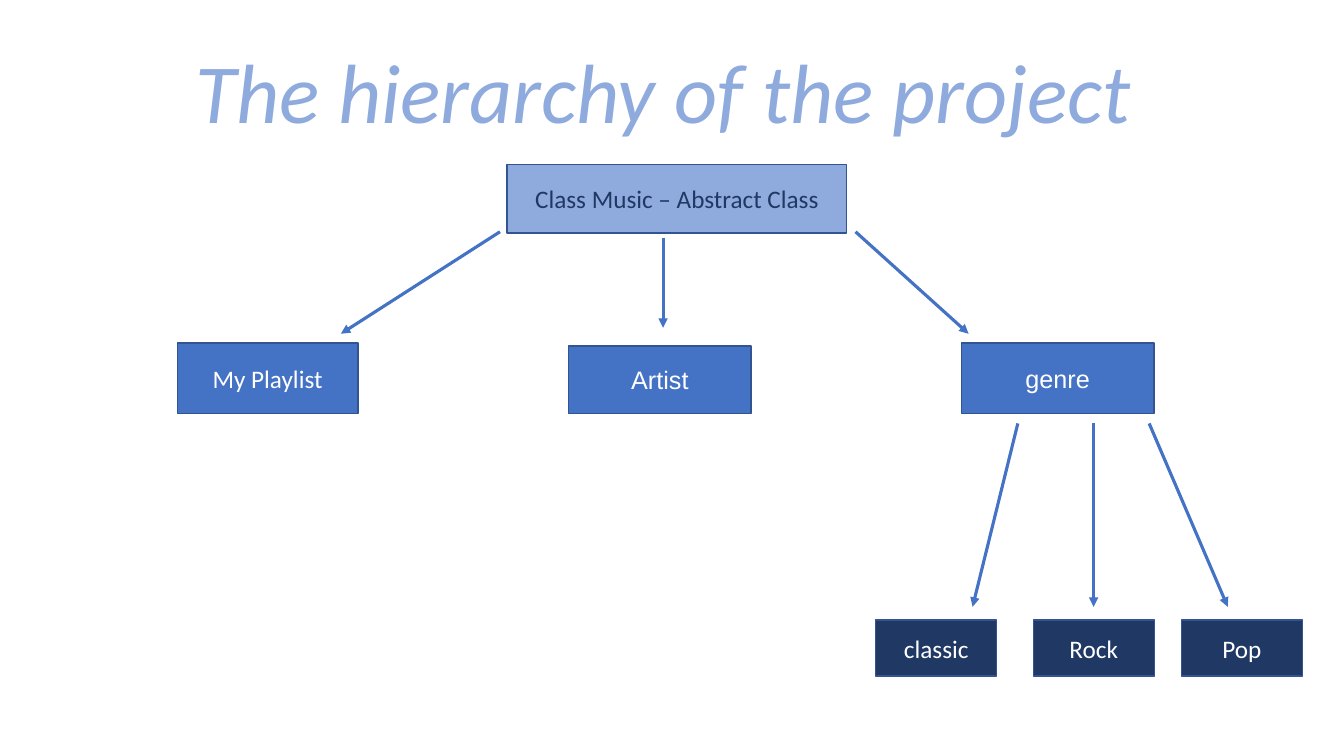
from dataclasses import dataclass

from lxml import etree
from pptx import Presentation
from pptx.dml.color import RGBColor
from pptx.enum import shapes, text
from pptx.oxml.ns import qn
from pptx.util import Cm, Pt


@dataclass(frozen=True)
class Theme:
    light: str = "8FAADC"
    mid: str = "4472C4"
    dark: str = "203864"
    border: str = "325491"
    white: str = "FFFFFF"
    font: str = "Calibri"
    alt_font: str = "Arial"
    title_size: int = 60
    label_size: int = 18
    border_width: float = 1
    arrow_width: float = 2.25


THEME = Theme()

# All lengths are in centimetres.
SLIDE_SIZE = (33.87, 19.05)
TITLE = ("The hierarchy of the project", (1.73, 0.86, 27.03, 2.82))

# Each level: fill, text colour, bottom edge, classes (label, font, left, width, height)
LEVELS = [
    (THEME.light, THEME.dark, 5.87, [
        ("Class Music – Abstract Class", THEME.font, 12.78, 8.56, 1.73),
    ]),
    (THEME.mid, THEME.white, 10.42, [
        ("My Playlist", THEME.font, 4.47, 4.55, 1.78),
        ("Artist", THEME.alt_font, 14.33, 4.6, 1.7),
        ("genre", THEME.alt_font, 24.23, 4.85, 1.78),
    ]),
    (THEME.dark, THEME.white, 17.04, [
        ("classic", THEME.font, 22.07, 3.05, 1.42),
        ("Rock", THEME.font, 26.04, 3.05, 1.42),
        ("Pop", THEME.font, 29.77, 3.05, 1.42),
    ]),
]

# Inheritance arrows: start x, start y, end x, end y
MUSIC_ARROWS = [
    (12.6, 5.84, 8.59, 8.41),
    (16.71, 5.99, 16.71, 8.26),
    (21.56, 5.84, 24.41, 8.41),
]
GENRE_TOP, GENRE_TIP = 10.67, 15.29
GENRE_ARROWS = [
    (start, GENRE_TOP, tip, GENRE_TIP)
    for start, tip in [(25.65, 24.51), (27.56, 27.56), (28.96, 30.94)]
]


def cm(lengths):
    return [Cm(length) for length in lengths]


def rgb(colour):
    return RGBColor.from_string(colour)


def write(frame, words, font, size, colour, align):
    frame.word_wrap = True
    line = frame.paragraphs[0]
    line.text = words
    line.alignment = align
    line.font.name = font
    line.font.size = Pt(size)
    line.font.color.rgb = rgb(colour)
    return line


def add_title(slide):
    words, box = TITLE
    frame = slide.shapes.add_textbox(*cm(box)).text_frame
    heading = write(frame, words, THEME.font, THEME.title_size, THEME.light,
                    text.PP_ALIGN.RIGHT)
    heading.font.italic = True


def add_class(slide, label, font, box, fill, colour):
    node = slide.shapes.add_shape(shapes.MSO_SHAPE.RECTANGLE, *cm(box))
    node.shadow.inherit = False
    node.fill.solid()
    node.fill.fore_color.rgb = rgb(fill)
    node.line.color.rgb = rgb(THEME.border)
    node.line.width = Pt(THEME.border_width)
    node.text_frame.vertical_anchor = text.MSO_ANCHOR.MIDDLE
    write(node.text_frame, label, font, THEME.label_size, colour,
          text.PP_ALIGN.CENTER)


def add_arrow(slide, ends):
    arrow = slide.shapes.add_connector(shapes.MSO_CONNECTOR.STRAIGHT, *cm(ends))
    arrow.line.color.rgb = rgb(THEME.mid)
    arrow.line.width = Pt(THEME.arrow_width)
    properties = arrow.element.spPr
    etree.SubElement(properties.find(qn("a:ln")), qn("a:tailEnd"), type="triangle")
    etree.SubElement(properties, qn("a:effectLst"))


def main():
    deck = Presentation()
    deck.slide_width, deck.slide_height = cm(SLIDE_SIZE)
    slide = deck.slides.add_slide(deck.slide_layouts[6])

    add_title(slide)
    for fill, colour, bottom, classes in LEVELS:
        for label, font, left, width, height in classes:
            box = (left, bottom - height, width, height)
            add_class(slide, label, font, box, fill, colour)
    for ends in MUSIC_ARROWS + GENRE_ARROWS:
        add_arrow(slide, ends)

    deck.save("out.pptx")


if __name__ == "__main__":
    main()
